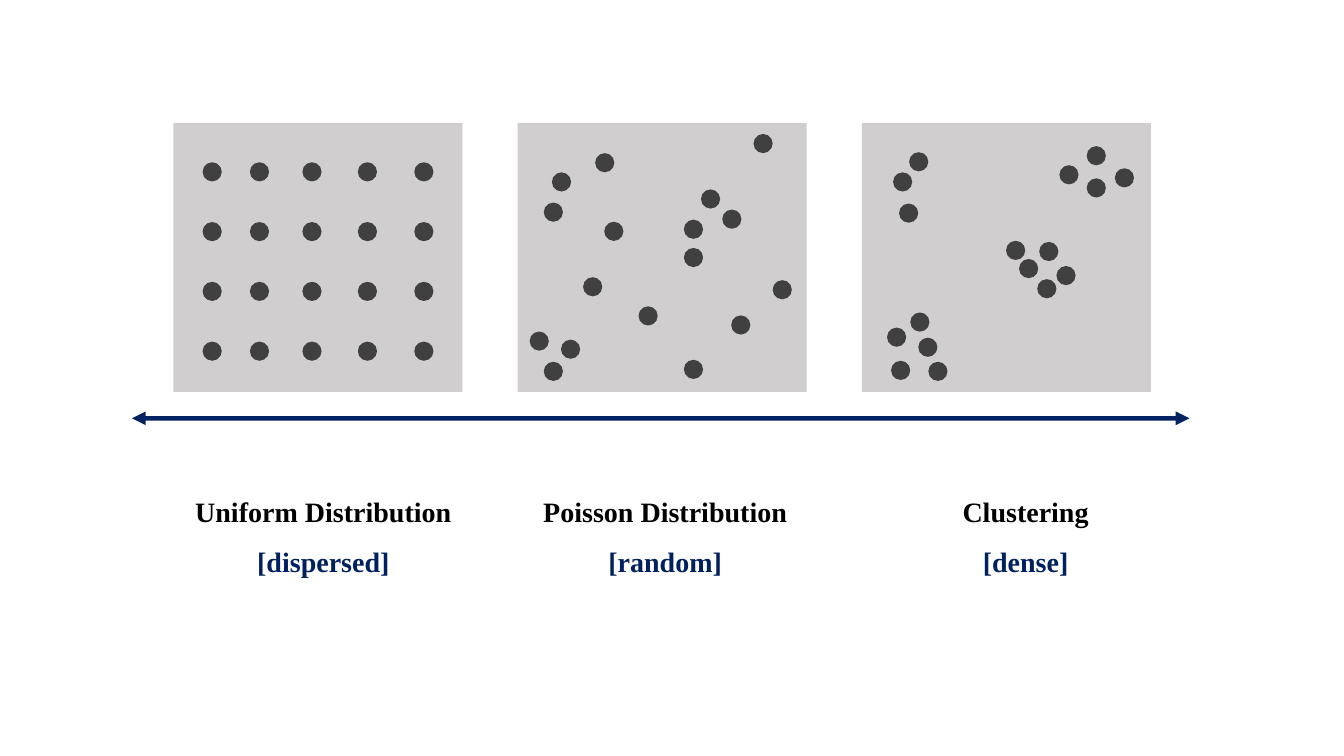
from dataclasses import dataclass
from itertools import product

from lxml.etree import SubElement
from pptx import Presentation
from pptx.dml.color import RGBColor
from pptx.enum.shapes import MSO_CONNECTOR as Connector, MSO_SHAPE as Shape
from pptx.enum.text import MSO_AUTO_SIZE as AutoSize, PP_ALIGN as Align
from pptx.oxml.ns import qn
from pptx.util import Pt


@dataclass(frozen=True)
class Theme:
    """Colours and type sizes of the slide."""
    panel: RGBColor = RGBColor(0xD0, 0xCE, 0xCE)
    dot: RGBColor = RGBColor(0x40, 0x40, 0x40)
    title: RGBColor = RGBColor(0, 0, 0)
    accent: RGBColor = RGBColor(0x00, 0x20, 0x60)
    font: str = "Times New Roman"
    size: float = 20
    line: float = 3.25


THEME = Theme()
DOT = 13.7
PANEL_LEFT, PANEL_TOP, PANEL_STEP = 123.8, 87.8, 245.9
PANEL_WIDTH, PANEL_HEIGHT = 206.6, 192.2
LABEL_TOP, LABEL_STEP, LABEL_HEIGHT = 349.9, 35.3, 31.7

UNIFORM = list(product((20.9, 54.7, 92.2, 131.8, 172.1),
                       [28.1 + 42.7 * row for row in range(4)]))
RANDOM = [
    (18.7, 56.9), (146.2, 61.9), (24.5, 35.3), (55.4, 21.6), (118.8, 89.3),
    (46.8, 110.2), (118.8, 69.1), (182.2, 112.3), (152.6, 137.5),
    (31, 154.8), (86.4, 131), (168.5, 7.9), (131, 47.5), (61.9, 70.6),
    (8.6, 149), (18.7, 170.6), (118.8, 169.2),
]
CLUSTERED = [
    (22.3, 35.3), (26.6, 57.6), (33.8, 20.9),
    (160.6, 16.6), (160.6, 39.6), (141.1, 30.2), (180.7, 32.4),
    (126.7, 85), (125.3, 111.6), (112.3, 97.2), (103, 84.2), (139, 102.2),
    (20.9, 169.9), (18, 146.2), (40.3, 153.4), (47.5, 170.6), (34.6, 135.4),
]
PATTERNS = [
    (UNIFORM, 231, ("Uniform Distribution", 198.7), ("[dispersed]", 109.4)),
    (RANDOM, 475.2, ("Poisson Distribution", 190.1), ("[random]", 96.5)),
    (CLUSTERED, 732.6, ("Clustering", 105.1), ("[dense]", 76.3)),
]


def apply_format(target, values):
    """Set each attribute named in values on the target."""
    for name, value in values.items():
        setattr(target, name, value)


def add_filled(page, kind, box, colour):
    """Add a plain filled shape without outline."""
    shape = page.shapes.add_shape(kind, *map(Pt, box))
    shape.shadow.inherit = False
    shape.fill.solid()
    shape.fill.fore_color.rgb = colour
    shape.line.fill.background()


def add_panel(page, box, dots):
    """Draw a panel with dots offset from its top left corner."""
    add_filled(page, Shape.RECTANGLE, box, THEME.panel)
    left, top = box[:2]
    for across, down in dots:
        add_filled(page, Shape.OVAL, (left + across, top + down, DOT, DOT), THEME.dot)


def add_label(page, box, text, colour):
    """Write one centred bold label in its box."""
    label = page.shapes.add_textbox(*map(Pt, box))
    frame = label.text_frame
    apply_format(frame, {"word_wrap": False, "auto_size": AutoSize.SHAPE_TO_FIT_TEXT})
    para = frame.paragraphs[0]
    para.alignment = Align.CENTER
    span = para.add_run()
    span.text = text
    apply_format(span.font, {"name": THEME.font, "size": Pt(THEME.size), "bold": True})
    span.font.color.rgb = colour


def add_caption(page, center, top, lines):
    """Stack the name of a pattern and its density around a centre."""
    for row, ((text, width), colour) in enumerate(zip(lines, (THEME.title, THEME.accent))):
        box = (center - width / 2, top + row * LABEL_STEP, width, LABEL_HEIGHT)
        add_label(page, box, text, colour)


def add_scale(page, left, right, top):
    """Draw the double-headed density arrow."""
    arrow = page.shapes.add_connector(Connector.STRAIGHT, Pt(left), Pt(top), Pt(right), Pt(top))
    arrow.line.width = Pt(THEME.line)
    arrow.line.color.rgb = THEME.accent
    outline = arrow.line._get_or_add_ln()
    SubElement(outline.find(".//" + qn("a:srgbClr")), qn("a:alpha"), val="98000")
    for end in ("a:headEnd", "a:tailEnd"):
        SubElement(outline, qn(end), type="triangle")
    SubElement(arrow._element.spPr, qn("a:effectLst"))


def main():
    """Build and save the deck."""
    deck = Presentation()
    apply_format(deck, {"slide_width": Pt(960), "slide_height": Pt(540)})
    page = deck.slides.add_slide(deck.slide_layouts[6])
    for index, (dots, center, *lines) in enumerate(PATTERNS):
        left = PANEL_LEFT + index * PANEL_STEP
        add_panel(page, (left, PANEL_TOP, PANEL_WIDTH, PANEL_HEIGHT), dots)
        add_caption(page, center, LABEL_TOP, lines)
    add_scale(page, 94.3, 849.6, 298.8)
    deck.save("out.pptx")


if __name__ == "__main__":
    main()
